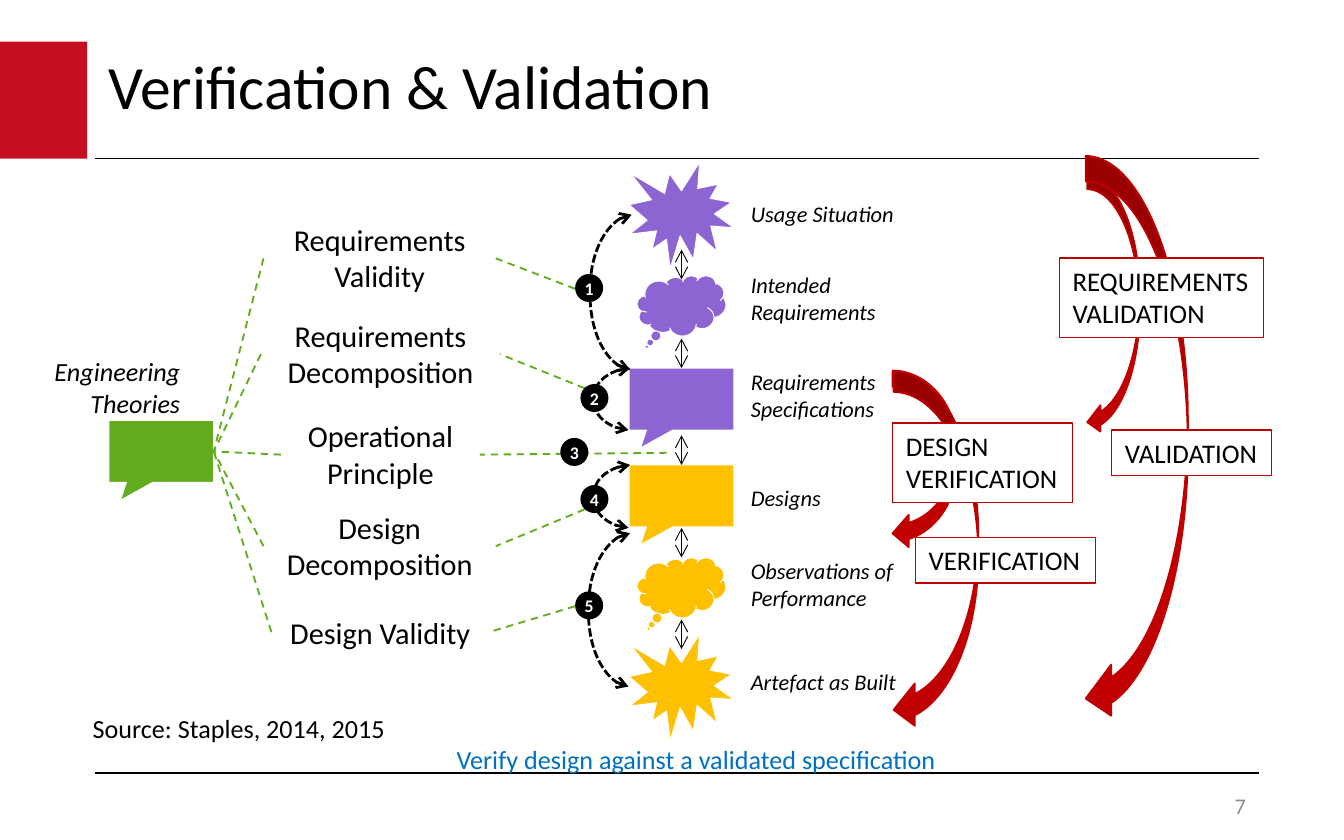
from lxml.etree import SubElement
from pptx import Presentation
from pptx.dml.color import RGBColor
from pptx.enum.dml import MSO_LINE
from pptx.enum.shapes import MSO_CONNECTOR, MSO_SHAPE
from pptx.enum.text import MSO_ANCHOR, MSO_AUTO_SIZE, PP_ALIGN
from pptx.oxml.ns import qn
from pptx.util import Cm, Pt

COLOURS = {
    "black": "000000", "white": "FFFFFF", "banner": "C50E1F", "red": "C00000",
    "purple": "8D65D2", "amber": "FFC000", "green": "62AC1E",
    "blue": "0070C0", "grey": "8C8C8C",
}
TOP, LEFT, RIGHT = 0, 1, 3


def colour(name):
    return RGBColor.from_string(COLOURS[name])


class Diagram:
    font = "Calibri"

    def __init__(self, page):
        self.page = page

    def fill_text(self, box, text, size, tint="black", align=PP_ALIGN.LEFT,
                  wrap=False, anchor=MSO_ANCHOR.TOP, grow=True, **style):
        frame = box.text_frame
        fit = MSO_AUTO_SIZE.SHAPE_TO_FIT_TEXT if grow else MSO_AUTO_SIZE.NONE
        settings = {"word_wrap": wrap, "vertical_anchor": anchor, "auto_size": fit}
        for name, value in settings.items():
            setattr(frame, name, value)
        frame.text = text
        style = {"name": self.font, "size": Pt(size), **style}
        for para in frame.paragraphs:
            para.alignment = align
            for span in para.runs:
                for name, value in style.items():
                    setattr(span.font, name, value)
                span.font.color.rgb = colour(tint)
        return box

    def text(self, place, text, size, **options):
        box = self.page.shapes.add_textbox(*map(Cm, place))
        return self.fill_text(box, text, size, **options)

    def shape(self, kind, place, fill, line=None, width=0.5, adjust=()):
        shape = self.page.shapes.add_shape(kind, *map(Cm, place))
        shape.shadow.inherit = False
        shape.fill.solid()
        shape.fill.fore_color.rgb = colour(fill)
        if line:
            shape.line.color.rgb = colour(line)
            shape.line.width = Pt(width)
        else:
            shape.line.fill.background()
        for index, value in enumerate(adjust):
            shape.adjustments[index] = value
        return shape

    def line(self, start, end, tint="black", width=0.75, dash=None,
             arrows=False, kind=MSO_CONNECTOR.STRAIGHT):
        line = self.page.shapes.add_connector(kind, *map(Cm, start + end))
        line.line.color.rgb = colour(tint)
        line.line.width = Pt(width)
        if dash:
            line.line.dash_style = dash
        properties = line._element.spPr
        if arrows:
            for tag in ("a:headEnd", "a:tailEnd"):
                SubElement(properties.find(qn("a:ln")), qn(tag), type="arrow")
        SubElement(properties, qn("a:effectLst"))
        return line

    def curve(self, x, top, bottom, bulge):
        """Curved double arrow that bows out to the left by bulge."""
        step = 0.03
        line = self.line((x, top), (x - step, bottom), width=1.5, arrows=True,
                         dash=MSO_LINE.SQUARE_DOT, kind=MSO_CONNECTOR.CURVE)
        guides = line._element.spPr.find(qn("a:prstGeom")).get_or_add_avLst()
        SubElement(guides, qn("a:gd"), name="adj1",
                   fmla=f"val {round(bulge / step * 100000)}")

    def marker(self, number, x, y):
        dot = self.shape(MSO_SHAPE.OVAL, (x, y, 0.53, 0.53), "black")
        self.fill_text(dot, number, 9.5, tint="white", align=PP_ALIGN.CENTER,
                       anchor=MSO_ANCHOR.MIDDLE, grow=False, bold=True)

    def swoosh(self, *place):
        self.shape(MSO_SHAPE.CURVED_LEFT_ARROW, place, "red", "red", 1)

    def tag(self, place, text):
        box = self.shape(MSO_SHAPE.RECTANGLE, place, "white", "red", 0.75)
        self.fill_text(box, text, 14.4)


deck = Presentation()
deck.slide_width, deck.slide_height = Cm(25.4), Cm(15.88)
diagram = Diagram(deck.slides.add_slide(deck.slide_layouts[6]))

# Frame and title
diagram.shape(MSO_SHAPE.RECTANGLE, (0, 0.79, 1.65, 2.21), "banner")
for y in (3, 14.61):
    diagram.line((1.8, y), (23.8, y))
title = diagram.text((1.8, 0.79, 22, 1.8), "Verification & Validation", 33,
                     wrap=True, anchor=MSO_ANCHOR.MIDDLE, grow=False)
title.text_frame.paragraphs[0].line_spacing = 0.9

# Requirements validation arrow, behind everything else
diagram.swoosh(20.55, 3.33, 0.99, 4.9)
diagram.text((1.5, 13.34, 6.07, 0.86), "Source: Staples, 2014, 2015", 14)

# Central column of icons
BURST, CLOUD, CALLOUT = (MSO_SHAPE.EXPLOSION1, MSO_SHAPE.CLOUD_CALLOUT,
                         MSO_SHAPE.RECTANGULAR_CALLOUT)
CALLOUT_TIP = (-0.39, 0.79)
icons = [
    (BURST, (11.89, 3.07, 1.98, 2.01), "purple", ()),
    (CLOUD, (12.04, 5.21, 1.68, 1.14), "purple", (-0.39, 0.68)),
    (CALLOUT, (11.89, 6.96, 1.98, 1.17), "purple", CALLOUT_TIP),
    (CALLOUT, (11.89, 8.79, 1.98, 1.17), "amber", CALLOUT_TIP),
    (CLOUD, (12.04, 10.54, 1.68, 1.14), "amber", (-0.37, 0.68)),
    (BURST, (11.89, 11.99, 1.98, 2.01), "amber", ()),
]
stages = [diagram.shape(kind, place, fill, "white", adjust=tip)
          for kind, place, fill, tip in icons]
for stage, y in zip(stages[1:], (5.28, 6.96, 8.79, 10.54, 12.27)):
    link = diagram.line((12.88, y), (12.88, y - 0.56), width=0.5, arrows=True)
    if stage.auto_shape_type == CALLOUT:
        link.begin_connect(stage, TOP)

# Stage labels
for y, width, label in [
    (3.66, 3.23, "Usage Situation"), (5, 2.9, "Intended\nRequirements"),
    (6.83, 2.9, "Requirements\nSpecifications"), (9.02, 1.85, "Designs"),
    (10.41, 3.23, "Observations of\nPerformance"),
    (12.5, 3.28, "Artefact as Built"),
]:
    height = 1.27 if "\n" in label else 0.76
    diagram.text((13.94, y, width, height), label, 12, italic=True)

# Engineering theories
theories = diagram.shape(CALLOUT, (2.06, 7.95, 1.98, 1.17), "green", "white",
                         adjust=CALLOUT_TIP)
diagram.text((0.74, 6.6, 2.92, 1.45), "Engineering\nTheories", 14,
             align=PP_ALIGN.RIGHT, italic=True)

# Claims, each tied to the theories and to its numbered relation
dashed = {"tint": "green", "width": 1, "dash": MSO_LINE.DASH}
for place, label, target in [
    ((4.98, 4.06, 4.39, 1.65), "Requirements\nValidity", (10.87, 5.46)),
    ((4.93, 5.87, 4.52, 1.65), "Requirements Decomposition", (11.05, 7.34)),
    ((5.31, 7.77, 3.76, 1.65), "Operational Principle", (12.6, 8.56)),
    ((4.98, 9.5, 4.39, 1.65), "Design Decomposition", (11.05, 9.63)),
    ((5.13, 11.48, 4.11, 0.94), "Design Validity", (10.87, 11.46)),
]:
    claim = diagram.text(place, label, 16.2, align=PP_ALIGN.CENTER, wrap=True)
    relation = diagram.line(target, target, **dashed)
    relation.end_connect(claim, RIGHT)
    basis = diagram.line(target, target, **dashed)
    basis.begin_connect(claim, LEFT)
    basis.end_connect(theories, RIGHT)

# Numbered relations between stages
for curve in [(11.91, 6.96, 8.13, 0.69), (11.91, 8.79, 9.98, 0.69),
              (11.94, 4.06, 6.99, 0.79), (11.91, 10.08, 12.98, 0.79)]:
    diagram.curve(*curve)
for number, spot in enumerate([(10.87, 5.18), (10.97, 7.26), (10.59, 8.28),
                               (10.97, 9.17), (10.87, 11.18)], 1):
    diagram.marker(str(number), *spot)

# Verification and validation arrows with their tags
diagram.swoosh(16.87, 7.01, 1.22, 3.38)
diagram.swoosh(16.89, 7.01, 1.6, 6.81)
diagram.tag((17.3, 10.16, 3.4, 0.86), "VERIFICATION")
diagram.swoosh(20.52, 2.95, 1.93, 10.74)
diagram.tag((21.01, 8.13, 3.02, 0.86), "VALIDATION")
diagram.tag((16.87, 8, 3.4, 1.5), "DESIGN\nVERIFICATION")
diagram.tag((20.02, 4.88, 3.86, 1.5), "REQUIREMENTS\vVALIDATION")

# Message and page number
diagram.text((8.38, 13.92, 12.9, 0.86),
             "Verify design against a validated specification", 14,
             tint="blue", wrap=True)
diagram.text((18.64, 14.91, 5.16, 0.64), "7", 12, tint="grey", wrap=True,
             align=PP_ALIGN.RIGHT, anchor=MSO_ANCHOR.MIDDLE, grow=False)

deck.save("out.pptx")
